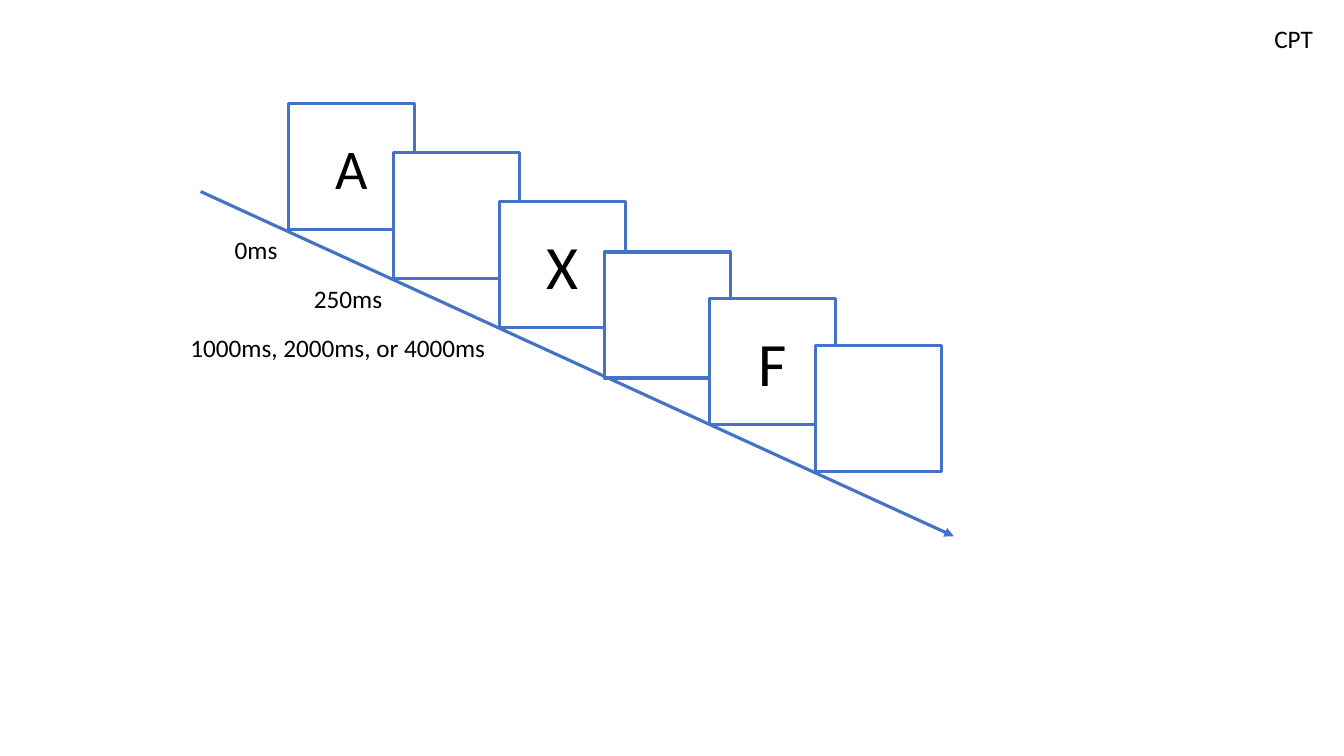
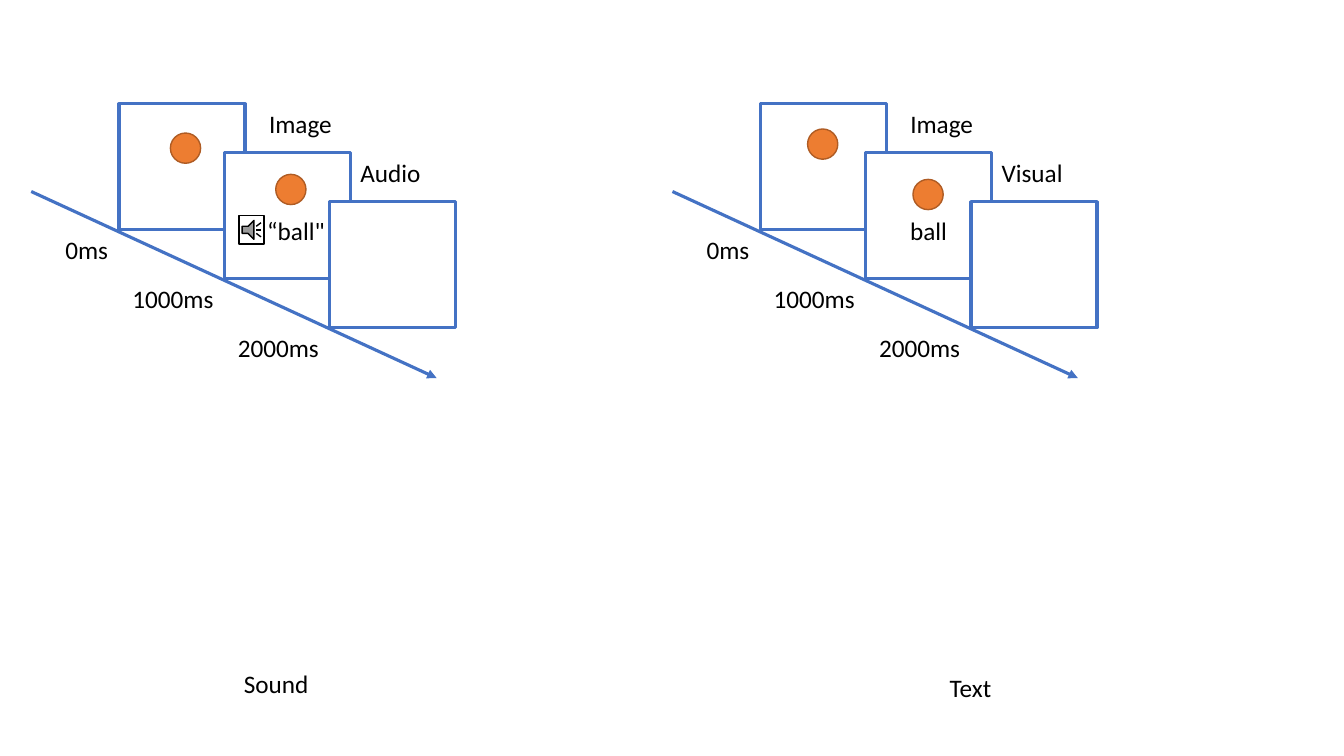
from lxml.etree import SubElement
from pptx import Presentation
from pptx.dml.color import RGBColor
from pptx.enum.shapes import MSO_CONNECTOR, MSO_SHAPE
from pptx.enum.text import MSO_ANCHOR, MSO_AUTO_SIZE, PP_ALIGN
from pptx.oxml.ns import qn
from pptx.util import Inches, Pt

COLORS = {
    "frame": "4472C4",
    "paper": "FFFFFF",
    "ink": "000000",
    "ball": "ED7D31",
    "ball_edge": "AF5C24",
}
FONT = "Calibri"

# Staircase of frames, shared by every timeline
FRAME_SIZE = 1.25
FRAME_STEP = 1.045
FRAME_TOPS = (1.03, 1.51, 2.0, 2.5, 2.96, 3.43)
ARROW_LEAD = 0.87
ARROW_TOP = 1.9
LABEL_HEIGHT = 0.4


class Deck:
    """Holds the style and the slide being drawn."""

    def __init__(self):
        self.presentation = Presentation()
        self.presentation.slide_width = Inches(13.33)
        self.presentation.slide_height = Inches(7.5)
        self.slide = None

    def add_slide(self):
        self.slide = self.presentation.slides.add_slide(self.presentation.slide_layouts[6])

    def set_text(self, shape, text, size=18, align=PP_ALIGN.LEFT):
        paragraph = shape.text_frame.paragraphs[0]
        paragraph.text = text
        paragraph.alignment = align
        for run in paragraph.runs:
            run.font.name = FONT
            run.font.size = Pt(size)
            run.font.color.rgb = RGBColor.from_string(COLORS["ink"])

    def label(self, text, left, top, width):
        box = self.slide.shapes.add_textbox(
            Inches(left), Inches(top), Inches(width), Inches(LABEL_HEIGHT))
        box.text_frame.word_wrap = False
        box.text_frame.auto_size = MSO_AUTO_SIZE.SHAPE_TO_FIT_TEXT
        self.set_text(box, text)

    def shape(self, kind, left, top, width, height, fill="paper", line="ink", weight=1):
        shape = self.slide.shapes.add_shape(
            kind, Inches(left), Inches(top), Inches(width), Inches(height))
        shape.shadow.inherit = False
        shape.fill.solid()
        shape.fill.fore_color.rgb = RGBColor.from_string(COLORS[fill])
        shape.line.color.rgb = RGBColor.from_string(COLORS[line])
        shape.line.width = Pt(weight)
        return shape

    def frame(self, left, top, text="", size=18, indent=0.1, drop=0.05):
        frame = self.shape(MSO_SHAPE.RECTANGLE, left, top, FRAME_SIZE, FRAME_SIZE,
                           line="frame", weight=2.25)
        if text:
            frame.text_frame.vertical_anchor = MSO_ANCHOR.MIDDLE
            frame.text_frame.margin_left = Inches(indent)
            frame.text_frame.margin_top = Inches(drop)
            self.set_text(frame, text, size, PP_ALIGN.CENTER)

    def ball(self, left, top):
        self.shape(MSO_SHAPE.OVAL, left, top, 0.3, 0.3, fill="ball", line="ball_edge")

    def arrow(self, left, top, right, bottom):
        arrow = self.slide.shapes.add_connector(
            MSO_CONNECTOR.STRAIGHT, Inches(left), Inches(top), Inches(right), Inches(bottom))
        arrow.line.color.rgb = RGBColor.from_string(COLORS["frame"])
        arrow.line.width = Pt(2.25)
        properties = arrow._element.spPr
        SubElement(properties.find(qn("a:ln")), qn("a:tailEnd"), type="triangle")
        SubElement(properties, qn("a:effectLst"))

    def timeline(self, left, run, drop, frames, times):
        """Arrow, frames along it and the time label below each frame."""
        start = left - ARROW_LEAD
        self.arrow(start, ARROW_TOP, start + run, ARROW_TOP + drop)
        for index, content in enumerate(frames):
            self.frame(left + index * FRAME_STEP, FRAME_TOPS[index], **content)
        for index, (text, width) in enumerate(times):
            self.label(text, left + index * FRAME_STEP - width,
                       FRAME_TOPS[index] + FRAME_SIZE, width)


def letter(text, size=44):
    return {"text": text, "size": size}


def build_cpt(deck):
    deck.add_slide()
    deck.timeline(
        2.86, 7.47, 3.42,
        [letter("A", 40), {}, letter("X"), {}, letter("F"), {}],
        [("0ms", 0.63), ("250ms", 0.89), ("1000ms, 2000ms, or 4000ms", 3.16)])
    deck.label("CPT", 12.54, 0.18, 0.59)


def build_conditions(deck):
    deck.add_slide()
    times = [("0ms", 0.63), ("1000ms", 1.01), ("2000ms", 1.01)]
    # Panel left, word in the second frame, its caption, ball inset and tops, panel name
    panels = [
        (1.18, {"text": "“ball\"", "indent": 0.27}, "Audio", 0.51, (1.32, 1.73),
         ("Sound", 2.32, 6.58, 0.85)),
        (7.54, {"text": "ball"}, "Visual", 0.47, (1.28, 1.78),
         ("Text", 9.32, 6.62, 0.62)),
    ]
    for left, word, caption, ball_inset, ball_tops, name in panels:
        deck.timeline(left, 4.02, 1.85, [{}, {"drop": 0.35, **word}, {}], times)
        deck.label("Image", left + 1.39, FRAME_TOPS[0], 0.83)
        deck.label(caption, left + FRAME_STEP + FRAME_SIZE, FRAME_TOPS[1], 0.81)
        deck.label(*name)
        for index, top in enumerate(ball_tops):
            deck.ball(left + ball_inset + index * FRAME_STEP, top)
    # Speaker beside the spoken word
    deck.shape(MSO_SHAPE.ACTION_BUTTON_SOUND, 2.37, 2.14, 0.25, 0.28)


def main():
    deck = Deck()
    build_cpt(deck)
    build_conditions(deck)
    deck.presentation.save("out.pptx")


if __name__ == "__main__":
    main()
